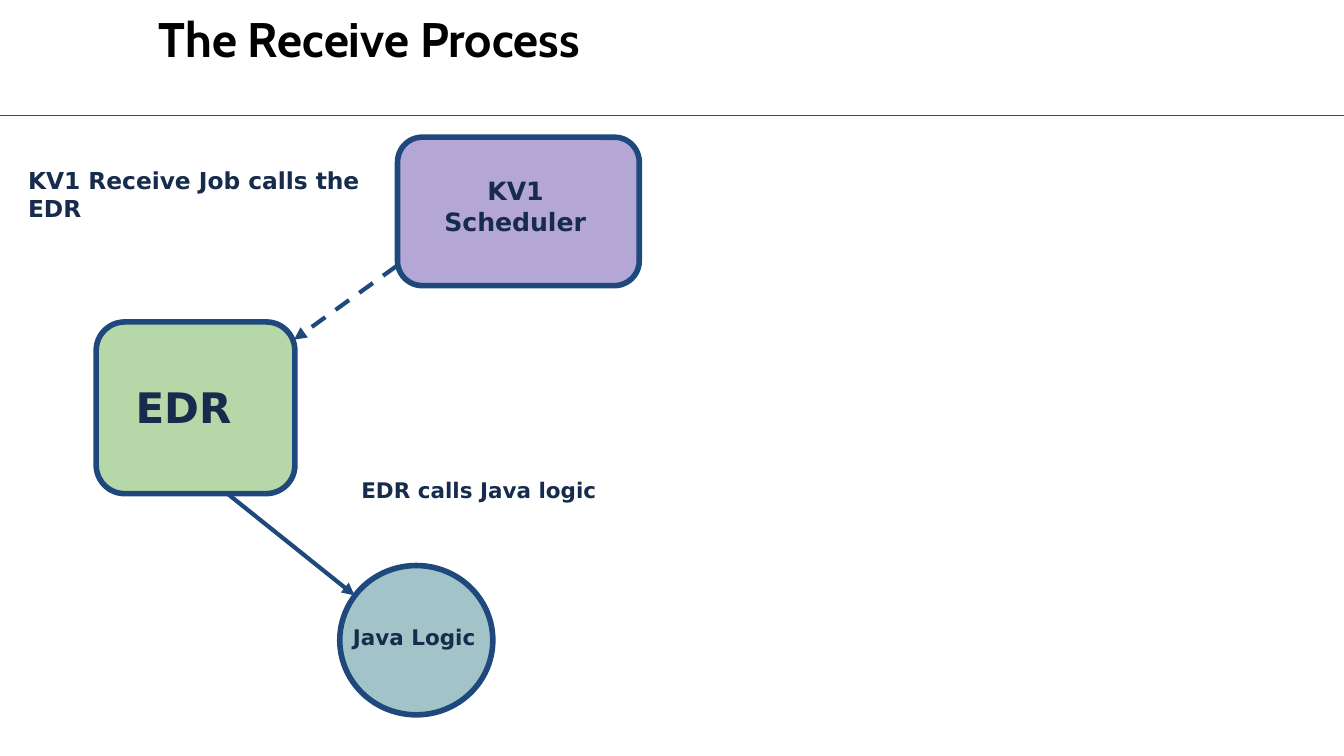
import pptx
import pptx.dml.color
import pptx.enum.dml
import pptx.enum.shapes
import pptx.enum.text
import pptx.oxml
import pptx.oxml.ns
import pptx.util

Pt = pptx.util.Pt
RGB = pptx.dml.color.RGBColor
SHAPE = pptx.enum.shapes.MSO_SHAPE
ANCHOR = pptx.enum.text.MSO_ANCHOR
DASH = pptx.enum.dml.MSO_LINE.DASH

BLACK = RGB(0x00, 0x00, 0x00)
RED = RGB(0xE3, 0x00, 0x00)
BLUE = RGB(0x1F, 0x49, 0x7D)
NAVY = RGB(0x17, 0x2B, 0x4D)
PURPLE = RGB(0xB4, 0xA7, 0xD6)
GREEN = RGB(0xB6, 0xD7, 0xA8)
TEAL = RGB(0xA2, 0xC4, 0xC9)

WIDTH, HEIGHT = 720, 405
PAD = 7.2


def place(shape, left, top, width, height):
    shape.left, shape.top = Pt(left), Pt(top)
    shape.width, shape.height = Pt(width), Pt(height)


def write(shape, text, size, font, color, pad, indent=0):
    """Fill a shape with one bold, left-aligned paragraph."""
    frame = shape.text_frame
    frame.word_wrap = True
    frame.auto_size = pptx.enum.text.MSO_AUTO_SIZE.NONE
    frame.vertical_anchor = ANCHOR.TOP
    frame.margin_left = frame.margin_right = Pt(pad)
    frame.margin_top = frame.margin_bottom = Pt(pad)
    para = frame.paragraphs[0]
    para.alignment = pptx.enum.text.PP_ALIGN.LEFT
    if indent:
        para._p.get_or_add_pPr().set("indent", str(Pt(indent)))
    run = para.add_run()
    run.text = text
    run.font.name = font
    run.font.size = Pt(size)
    run.font.bold = True
    run.font.color.rgb = color


def label(slide, box, text, size, indent=0):
    left, top, width, height = box
    shape = slide.shapes.add_textbox(Pt(left), Pt(top), Pt(width), Pt(height))
    write(shape, text, size, "DejaVu Sans", NAVY, PAD, indent)


def node(slide, kind, box, fill, inner, text, size, indent=0):
    """Draw an outlined shape; inner is its label box, relative to box."""
    left, top, width, height = box
    shape = slide.shapes.add_shape(
        kind, Pt(left), Pt(top), Pt(width), Pt(height))
    shape.shadow.inherit = False
    shape.fill.solid()
    shape.fill.fore_color.rgb = fill
    shape.line.color.rgb = BLUE
    shape.line.width = Pt(3)
    dx, dy, wide, high = inner
    label(slide, (left + dx, top + dy, wide, high), text, size, indent)


def arrow(slide, start, end, dash=None):
    link = slide.shapes.add_connector(
        pptx.enum.shapes.MSO_CONNECTOR.STRAIGHT,
        Pt(start[0]), Pt(start[1]), Pt(end[0]), Pt(end[1]))
    link.line.color.rgb = BLUE
    link.line.width = Pt(2.25)
    if dash:
        link.line.dash_style = dash
    space = pptx.oxml.ns.nsdecls("a")
    link.line._get_or_add_ln().append(
        pptx.oxml.parse_xml(f'<a:tailEnd {space} type="triangle"/>'))
    link._element.spPr.append(pptx.oxml.parse_xml(f"<a:effectLst {space}/>"))


def header(slide, left, top, width, height):
    base = Pt(top + height)
    pen = slide.shapes.build_freeform(Pt(left), base)
    pen.add_line_segments([(Pt(left + width), base)], close=False)
    rule = pen.convert_to_shape()
    rule.shadow.inherit = False
    rule.fill.background()
    rule.line.color.rgb = RED
    rule.line.width = Pt(0.75)

    title = slide.shapes.title
    place(title, left + 85, top + 5, 416, 32)
    write(title, "The Receive Process", 26, "Cabin", BLACK, 0)


def flow(slide, left, top, width, height):
    """Draw the scheduler, EDR and Java steps with their calls."""
    def at(x, y, *size):
        return (left + x, top + y, *size)

    node(slide, SHAPE.ROUNDED_RECTANGLE, at(213, 11.5, 129.5, 79.5), PURPLE,
         (18, 13.5, 106.5, 53), "KV1 Scheduler", 13.5, indent=23)
    arrow(slide, at(212.5, 80.5), at(157.5, 120), DASH)
    label(slide, at(8, 20, 193.5, 51), "KV1 Receive Job calls the EDR", 12.5)

    node(slide, SHAPE.ROUNDED_RECTANGLE, at(51.5, 110.5, 106.5, 92), GREEN,
         (14, 24.5, 78.5, 53), "EDR", 22.5)
    arrow(slide, at(122.5, 203), at(190, 257))
    label(slide, at(186.5, 186.5, 161, 43), "EDR calls Java logic", 11.5)

    node(slide, SHAPE.OVAL, at(182, 241, 82, 80), TEAL,
         (0, 24, 88, 51), "Java Logic", 11.5)


def main():
    deck = pptx.Presentation()
    deck.slide_width, deck.slide_height = Pt(WIDTH), Pt(HEIGHT)
    slide = deck.slides.add_slide(deck.slide_layouts[5])
    split = 62
    header(slide, 0, 0, WIDTH, split)
    flow(slide, 0, split, WIDTH, HEIGHT - split)
    deck.save("out.pptx")


if __name__ == "__main__":
    main()
